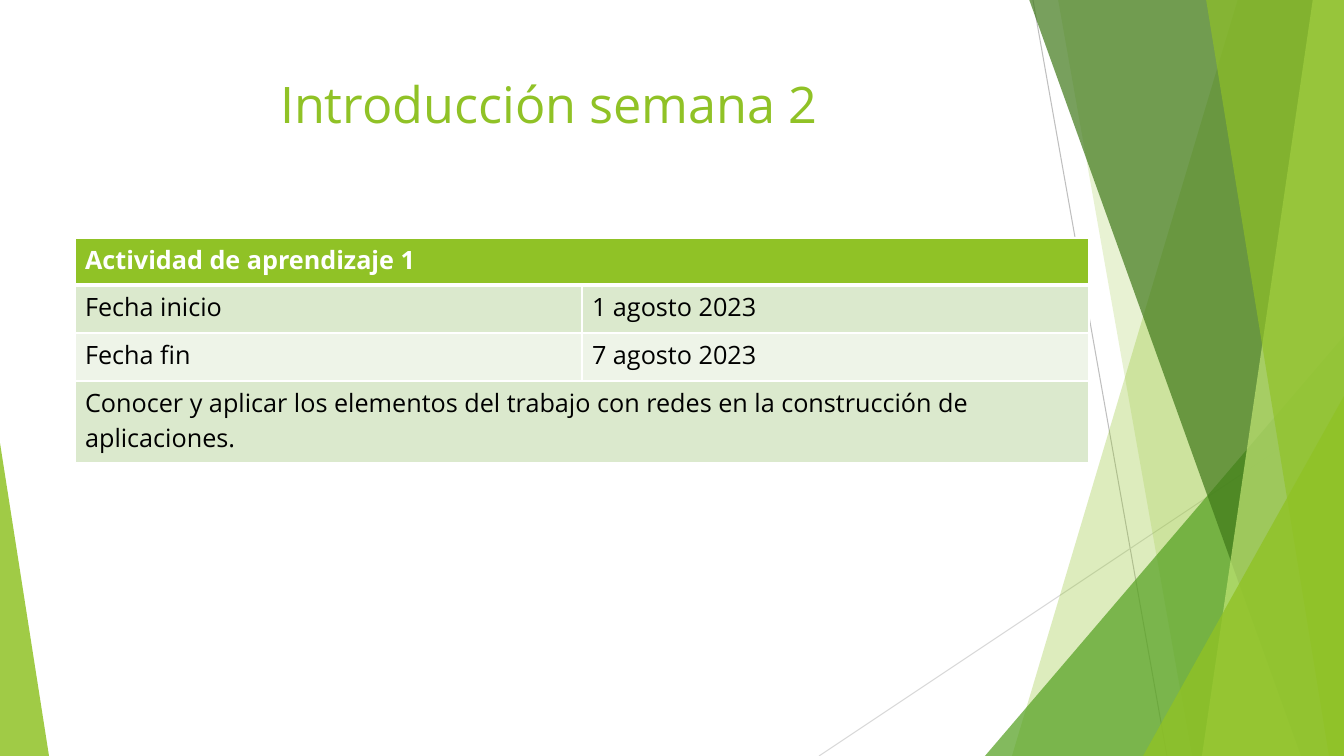
from dataclasses import dataclass

from lxml.etree import SubElement
from pptx import Presentation
from pptx.dml.color import RGBColor
from pptx.enum.shapes import MSO_CONNECTOR, MSO_SHAPE
from pptx.enum.text import MSO_ANCHOR, PP_ALIGN
from pptx.oxml.ns import qn
from pptx.util import Emu, Pt

WIDTH, HEIGHT = 1344, 756
SCALE = 12192000 / WIDTH  # EMU per pixel
FONT = "Open Sans"
COLORS = {
    "lime": "90C226", "green": "54A021", "forest": "3F7819", "pale": "C0E474",
    "gray": "BFBFBF", "silver": "D9D9D9", "white": "FFFFFF", "black": "000000",
    "band_dark": "DBE9CD", "band_light": "EEF4E8",
}


@dataclass
class Ray:
    start: tuple[int, int]
    end: tuple[int, int]
    color: str


@dataclass
class Shard:
    """Panel reaching the right slide edge, with a slanted left side."""
    top_x: int
    bottom_x: int
    color: str
    opacity: int


@dataclass
class Corner:
    """Right triangle standing on the bottom slide edge."""
    left: int
    top: int
    width: int
    apex: int
    color: str
    opacity: int


@dataclass
class Row:
    height: int
    texts: list[str]
    fill: str
    color: str = "black"
    bold: bool = False
    rule: int = 1


RAYS = [Ray((1033, 0), (1167, HEIGHT), "gray"),
        Ray((WIDTH, 406), (819, HEIGHT), "silver")]
FACETS = [
    Shard(1238, 1012, "lime", 30),
    Shard(1058, 1192, "lime", 20),
    Corner(985, 336, 359, 1, "green", 72),
    Shard(1029, 1301, "forest", 70),
    Shard(1313, 1202, "pale", 70),
    Shard(1206, 1329, "lime", 65),
    Corner(1143, 396, 201, 1, "lime", 80),
    Corner(0, 443, 49, 0, "lime", 85),
]
ROWS = [
    Row(47, ["Actividad de aprendizaje 1"], "lime", "white", True, 3),
    Row(48, ["Fecha inicio", "1 agosto 2023"], "band_dark"),
    Row(48, ["Fecha fin", "7 agosto 2023"], "band_light"),
    Row(82, ["Conocer y aplicar los elementos del trabajo con redes en la "
             "construcción de aplicaciones."], "band_dark"),
]


def px(pixels: int) -> Emu:
    return Emu(round(pixels * SCALE))


def rgb(name: str) -> RGBColor:
    return RGBColor.from_string(COLORS[name])


def draw_ray(page, ray: Ray) -> None:
    line = page.shapes.add_connector(
        MSO_CONNECTOR.STRAIGHT, *map(px, ray.start + ray.end))
    line.line.color.rgb = rgb(ray.color)
    line.line.width = Pt(0.75)
    SubElement(line._element.spPr, qn("a:effectLst"))


def draw_facet(page, facet: Shard | Corner) -> None:
    if isinstance(facet, Shard):
        builder = page.shapes.build_freeform(facet.top_x, -1, SCALE)
        builder.add_line_segments(
            [(WIDTH, -1), (WIDTH, HEIGHT), (facet.bottom_x, HEIGHT)])
        shape = builder.convert_to_shape()
    else:
        shape = page.shapes.add_shape(
            MSO_SHAPE.ISOSCELES_TRIANGLE, px(facet.left), px(facet.top),
            px(facet.width), px(HEIGHT - facet.top))
        shape.adjustments[0] = facet.apex
    shape.shadow.inherit = False
    shape.line.fill.background()
    shape.fill.solid()
    shape.fill.fore_color.rgb = rgb(facet.color)
    color = shape._element.spPr.find(qn("a:solidFill"))[0]
    SubElement(color, qn("a:alpha"), val=str(facet.opacity * 1000))


def style_font(para, size: int, color: str, bold: bool = False) -> None:
    para.font.name = FONT
    para.font.size = Pt(size)
    para.font.bold = bold
    para.font.color.rgb = rgb(color)


def draw_title(page, text: str) -> None:
    box = page.shapes.add_textbox(px(75), px(68), px(948), px(145))
    box.text_frame.word_wrap = True
    box.text_frame.vertical_anchor = MSO_ANCHOR.TOP
    para = box.text_frame.paragraphs[0]
    para.text = text
    para.alignment = PP_ALIGN.CENTER
    style_font(para, 36, "lime")


def set_borders(cell, top: int, bottom: int) -> None:
    properties = cell._tc.get_or_add_tcPr()
    for side, width in (("L", 1), ("R", 1), ("T", top), ("B", bottom)):
        line = SubElement(properties, qn(f"a:ln{side}"), w=str(Pt(width)))
        fill = SubElement(line, qn("a:solidFill"))
        SubElement(fill, qn("a:srgbClr"), val=COLORS["white"])


def draw_table(page, rows: list[Row]) -> None:
    table = page.shapes.add_table(
        len(rows), 2, px(75), px(238), px(1014),
        px(sum(row.height for row in rows))).table
    rule_above = 1
    for index, row in enumerate(rows):
        table.rows[index].height = px(row.height)
        cells = [table.cell(index, column) for column in range(2)]
        if len(row.texts) == 1:
            cells[0].merge(cells[1])
        for cell in cells:
            set_borders(cell, rule_above, row.rule)
            cell.fill.solid()
            cell.fill.fore_color.rgb = rgb(row.fill)
        for cell, text in zip(cells, row.texts):
            para = cell.text_frame.paragraphs[0]
            para.text = text
            style_font(para, 18, row.color, row.bold)
        rule_above = row.rule


deck = Presentation()
deck.slide_width, deck.slide_height = px(WIDTH), px(HEIGHT)
page = deck.slides.add_slide(deck.slide_layouts[6])

# Decorative background
for ray in RAYS:
    draw_ray(page, ray)
for facet in FACETS:
    draw_facet(page, facet)

# Title and activity table
draw_title(page, "Introducción semana 2")
draw_table(page, ROWS)

deck.save("out.pptx")
